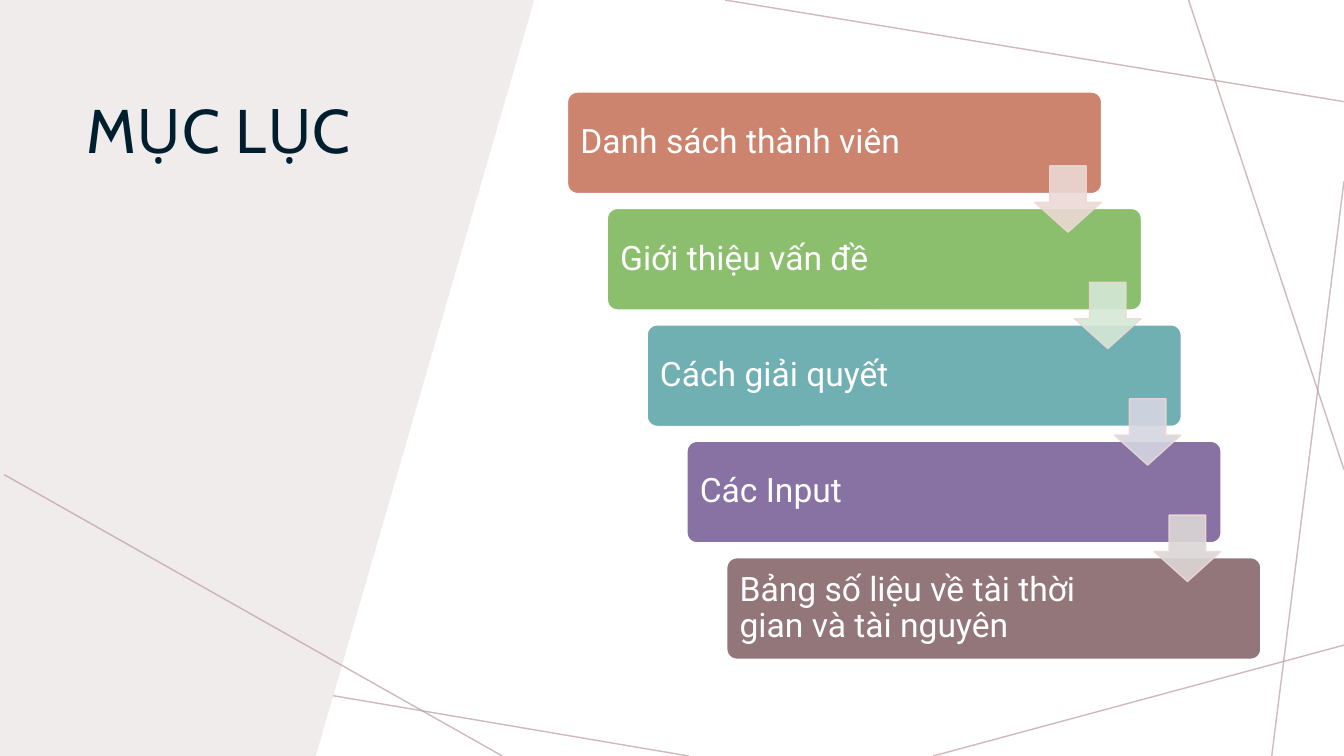
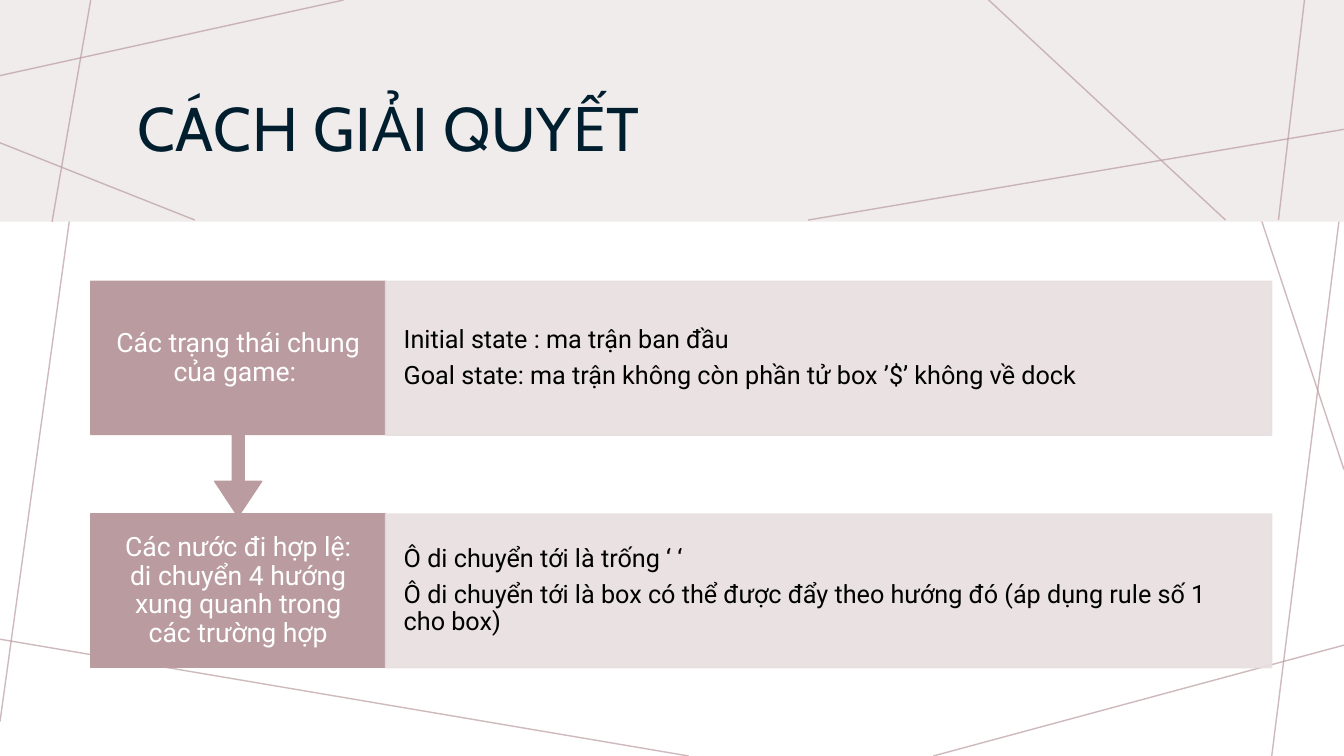
from lxml import etree
from pptx import Presentation
from pptx.dml.color import RGBColor
from pptx.enum.shapes import MSO_CONNECTOR as Connector, MSO_SHAPE as Shape
from pptx.enum.text import MSO_ANCHOR as Anchor, PP_ALIGN as Align
from pptx.oxml.ns import qn
from pptx.util import Emu, Inches, Pt

# The page is a grid of square cells, twelve to the inch.
CELL = Inches(1) / 12
COLUMNS, ROWS = 160, 90

WHITE, BLACK, NAVY = "FFFFFF", "000000", "001E2E"
PALE, ROSE, BLUSH, ARROW_EDGE = "F0ECEC", "BA9CA0", "E7DEDF", "ECD9D5"
TITLE_FONT, BODY_FONT = "Cabin", "Roboto"

CORNER_RAY = (40.9, 0, 0, 9)
BACKDROP_RAYS = [
    CORNER_RAY,
    (11.9, 0, 0, 85.9),
    (82, 90, 0, 76.1),
    (160, 76.8, 111.1, 90),
    (160, 21.6, 151.4, 90),
    (160, 55.9, 141.5, 0),
    (160, 12.1, 86.3, 0),
]
BAND_RAYS = [
    CORNER_RAY,
    (10.8, 0, 6.2, 26.4),
    (23.2, 26.2, 0, 17),
    (160, 15.4, 96.2, 26.2),
    (145.9, 26.2, 117.7, 0),
    (155.3, 0, 152.2, 26.2),
]

AGENDA = [
    ("Danh sách thành viên", "CC846E"),
    ("Giới thiệu vấn đề", "8BBF6E"),
    ("Cách giải quyết", "70AFB2"),
    ("Các Input", "8872A3"),
    ("Bảng số liệu về tài thời gian và tài nguyên", "93767A"),
]
ARROW_FILLS = ["ECD9D5", "D5E7D6", "D5D5E2", "DCD6D7"]
STEP_RIGHT, STEP_DOWN = 4.74, 13.86

STATES = "Các trạng thái chung của game: "
STATE_DETAILS = [
    "Initial state : ma trận ban đầu",
    "Goal state: ma trận không còn phần tử box ’$’ không về dock",
]
MOVES = "Các nước đi hợp lệ: di chuyển 4 hướng xung quanh trong các trường hợp"
MOVE_DETAILS = [
    "Ô di chuyển tới là trống ‘ ‘",
    "Ô di chuyển tới là box có thể được đẩy theo hướng đó (áp dụng rule số 1 cho box)",
]


def cells(*counts):
    return [Emu(round(count * CELL)) for count in counts]


def paint(color_format, color, opacity=100):
    """Set a colour and, below 100, its opacity in percent."""
    color_format.rgb = RGBColor.from_string(color)
    if opacity < 100:
        solid = color_format._color._xClr
        etree.SubElement(solid, qn("a:alpha")).set("val", str(opacity * 1000))


def style(shape, fill, edge=None, opacity=100):
    shape.shadow.inherit = False
    shape.fill.solid()
    paint(shape.fill.fore_color, fill, opacity)
    if edge:
        shape.line.width = Pt(1)
        shape.line.fill.solid()
        paint(shape.line.color, edge, opacity)
    else:
        shape.line.fill.background()


def add_box(page, kind, area, fill, edge=None, opacity=100, adjust=()):
    box = page.shapes.add_shape(kind, *cells(*area))
    style(box, fill, edge, opacity)
    for index, value in enumerate(adjust):
        box.adjustments[index] = value
    return box


def add_rays(page, rays):
    for ray in rays:
        line = page.shapes.add_connector(Connector.STRAIGHT, *cells(*ray))
        line.line.width = Pt(1)
        line.line.fill.solid()
        paint(line.line.color, ROSE, 70)
        etree.SubElement(line._element.spPr, qn("a:effectLst"))


def write(box, texts, size, color, insets, align=Align.LEFT, font=BODY_FONT,
          anchor=Anchor.MIDDLE, spacing=0.9, after=0.35):
    """Fill a box with paragraphs; insets are left, top, right, bottom inches."""
    frame = box.text_frame
    frame.word_wrap = True
    frame.vertical_anchor = anchor
    (frame.margin_left, frame.margin_top,
     frame.margin_right, frame.margin_bottom) = map(Inches, insets)
    frame.text = "\n".join(texts)
    for para in frame.paragraphs:
        para.alignment = align
        para.line_spacing = spacing
        para.space_after = Pt(size * after)
        for span in para.runs:
            span.font.name = font
            span.font.size = Pt(size)
            paint(span.font.color, color)


def add_title(page, text, area, anchor):
    box = page.shapes.add_textbox(*cells(*area))
    write(box, [text], 44, NAVY, (0.12, 0.12, 0.12, 0.1), font=TITLE_FONT,
          anchor=anchor, spacing=1.1, after=0)
    span = box.text_frame.paragraphs[0].runs[0]
    span.font._element.set("spc", "50")


def add_page(deck):
    page = deck.slides.add_slide(deck.slide_layouts[6])
    add_rays(page, BACKDROP_RAYS)
    return page


def add_slanted_panel(page):
    outline = page.shapes.build_freeform(0, 0, scale=1.0)
    corners = [(63.6, 0), (37.6, ROWS), (0, ROWS)]
    outline.add_line_segments([cells(*corner) for corner in corners], close=True)
    style(outline.convert_to_shape(), PALE)


def add_staircase(page):
    for step, (text, color) in enumerate(AGENDA):
        area = (67.56 + step * STEP_RIGHT, 10.95 + step * STEP_DOWN, 63.6, 12.1)
        box = add_box(page, Shape.ROUNDED_RECTANGLE, area, color, WHITE, adjust=[0.1])
        write(box, [text], 24, WHITE, (0.1, 0.1, 1.16, 0.1))
    for step, color in enumerate(ARROW_FILLS):
        area = (123.2 + step * STEP_RIGHT, 19.75 + step * STEP_DOWN, 7.9, 7.9)
        add_box(page, Shape.DOWN_ARROW, area, color, ARROW_EDGE, 90, [0.55, 0.45])


def add_process_row(page, top, label, details, leads_on=False):
    """Add a label and its details; a row that leads on has an arrow below."""
    left, label_width, detail_width, height = 10.8, 35.1, 105.5, 18.3
    area = (left, top, label_width, height)
    if leads_on:
        callout = add_box(page, Shape.UP_ARROW_CALLOUT, (left, top, label_width, 28),
                          ROSE, ROSE, adjust=[0.05, 0.1, 0.15, 0.65])
        callout.rotation = 180
        label_box = page.shapes.add_textbox(*cells(*area))
    else:
        label_box = add_box(page, Shape.RECTANGLE, area, ROSE, ROSE)
    write(label_box, [label], 19, WHITE, (0.21, 0.15, 0.21, 0.15), Align.CENTER)
    detail_box = add_box(page, Shape.RECTANGLE,
                         (left + label_width, top, detail_width, height),
                         BLUSH, BLUSH, 90)
    write(detail_box, details, 18, BLACK, (0.18, 0.25, 0.18, 0.25))


def build_agenda(deck):
    page = add_page(deck)
    add_slanted_panel(page)
    add_title(page, "MỤC LỤC", (8.8, 8.6, 42.4, 46.8), Anchor.TOP)
    add_rays(page, [(0.5, 56.5, 59.8, 90)])
    add_staircase(page)


def build_solution(deck):
    page = add_page(deck)
    add_box(page, Shape.RECTANGLE, (0, 0, COLUMNS, 26.4), PALE)
    add_rays(page, BAND_RAYS)
    add_title(page, "CÁCH GIẢI QUYẾT", (14.9, 6.5, 132.1, 16.1), Anchor.MIDDLE)
    add_process_row(page, 61.2, MOVES, MOVE_DETAILS)
    add_process_row(page, 33.5, STATES, STATE_DETAILS, leads_on=True)


def main():
    deck = Presentation()
    deck.slide_width, deck.slide_height = cells(COLUMNS, ROWS)
    build_agenda(deck)
    build_solution(deck)
    deck.save("out.pptx")


if __name__ == "__main__":
    main()
